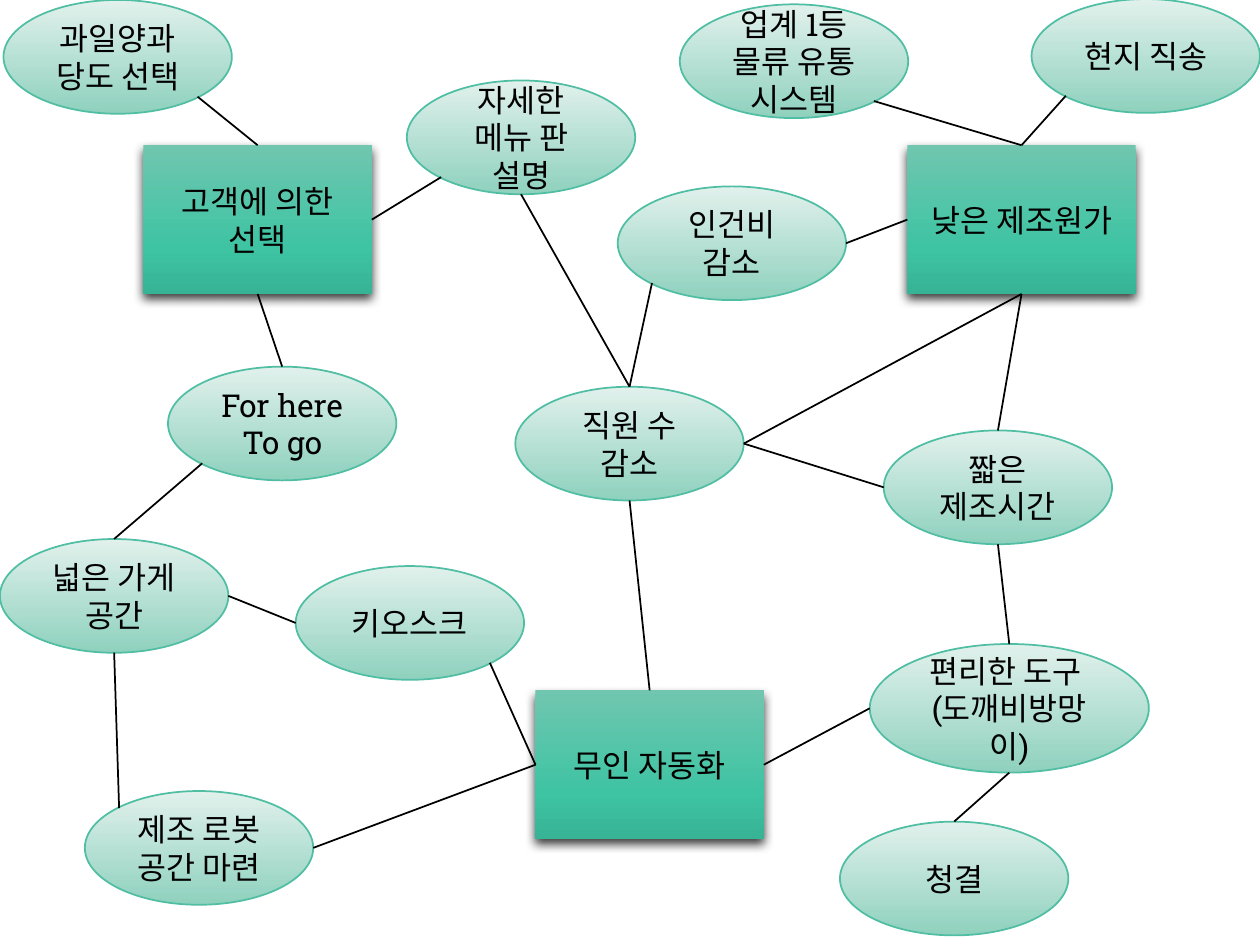
import pptx
import pptx.util
import pptx.dml.color
import pptx.enum.shapes
import pptx.enum.text
import pptx.oxml.ns
import lxml.etree

Pt = pptx.util.Pt
qn = pptx.oxml.ns.qn
SHAPE = pptx.enum.shapes.MSO_SHAPE
FONT = "Roboto Slab"
BOX_STOPS = [(0, "70C6AF"), (69, "3EC4A3"), (100, "37B395")]
OVAL_STOPS = [(0, "E1F1EC"), (100, "8FD1BE")]


def rgb(color):
    return pptx.dml.color.RGBColor.from_string(color)


def add_node(text, kind, x, y, w, h, stops, line=None, size=18, color="000000"):
    s = slide.shapes.add_shape(kind, Pt(x), Pt(y), Pt(w), Pt(h))
    s.shadow.inherit = False
    # Vertical gradient
    s.fill.gradient()
    s.fill.gradient_angle = 270
    stop_list = s._element.spPr.find(".//" + qn("a:gsLst"))
    for old in list(stop_list):
        stop_list.remove(old)
    for pos, stop_color in stops:
        gs = lxml.etree.SubElement(stop_list, qn("a:gs"), pos=str(pos * 1000))
        lxml.etree.SubElement(gs, qn("a:srgbClr"), val=stop_color)
    # Outline
    if line:
        s.line.color.rgb = rgb(line)
        s.line.width = Pt(1)
    else:
        s.line.fill.background()
    # Text
    tf = s.text_frame
    tf.word_wrap = True
    tf.vertical_anchor = pptx.enum.text.MSO_ANCHOR.MIDDLE
    tf.text = text
    for p in tf.paragraphs:
        p.alignment = pptx.enum.text.PP_ALIGN.CENTER
        for r in p.runs:
            r.font.name = FONT
            r.font.size = Pt(size)
            r.font.color.rgb = rgb(color)
    return s


prs = pptx.Presentation()
prs.slide_width, prs.slide_height = Pt(720), Pt(540)
slide = prs.slides.add_slide(prs.slide_layouts[6])
nodes = {}

# Main themes: boxes with a soft shadow
for key, text, x, y in [
    ("choice", "고객에 의한 선택", 82, 83),
    ("cost", "낮은 제조원가", 518.5, 83),
    ("automation", "무인 자동화", 306, 394.5),
]:
    s = nodes[key] = add_node(text, SHAPE.RECTANGLE, x, y, 130.5, 85, BOX_STOPS)
    shadow = lxml.etree.SubElement(
        s._element.spPr.find(qn("a:effectLst")), qn("a:outerShdw"),
        blurRad=str(Pt(6)), dist=str(Pt(3)), dir="5400000", rotWithShape="0")
    black = lxml.etree.SubElement(shadow, qn("a:srgbClr"), val="000000")
    lxml.etree.SubElement(black, qn("a:alpha"), val="76000")

# Supporting ideas: ovals
for key, text, x, y, w, h in [
    ("fruit", "과일양과 당도 선택", 2, 0, 130.5, 65),
    ("direct", "현지 직송", 589.5, -0.5, 130.5, 65),
    ("logistics", "업계 1등 물류 유통 시스템", 388.5, 2.5, 130.5, 65),
    ("staff", "직원 수 감소", 294.5, 221, 130.5, 65),
    ("labour", "인건비 감소", 353, 106.5, 130.5, 65),
    ("menu", "자세한 메뉴 판 설명", 232.5, 46, 130.5, 65),
    ("robot", "제조 로봇 공간 마련", 48.5, 452, 130.5, 65),
    ("space", "넓은 가게 공간", 0, 308, 130.5, 65),
    ("here", "For here\nTo go", 96, 209.5, 130.5, 65),
    ("kiosk", "키오스크", 169, 323.5, 130.5, 65),
    ("tool", "편리한 도구 \n(도깨비방망이)", 497, 368, 159.5, 73.5),
    ("time", "짧은 제조시간", 505, 246, 130.5, 65),
    ("clean", "청결", 480, 469.5, 130.5, 65),
]:
    nodes[key] = add_node(text, SHAPE.OVAL, x, y, w, h, OVAL_STOPS, line="50BEA3")

# Points on a node's edge, as shares of its width and height
near, far = 0.15, 0.85
sides = {
    "top": (0.5, 0), "left": (0, 0.5), "bottom": (0.5, 1), "right": (1, 0.5),
    "top left": (near, near), "bottom left": (near, far), "bottom right": (far, far),
}
box_sites = {"top": 0, "left": 1, "bottom": 2, "right": 3}

# Links between nodes
for start, start_side, end, end_side in [
    ("fruit", "bottom right", "choice", "top"),
    ("logistics", "bottom right", "cost", "top"),
    ("direct", "bottom left", "cost", "top"),
    ("cost", "bottom", "staff", "right"),
    ("automation", "top", "staff", "bottom"),
    ("staff", "top", "labour", "bottom left"),
    ("cost", "left", "labour", "right"),
    ("choice", "right", "menu", "bottom left"),
    ("staff", "top", "menu", "bottom"),
    ("robot", "right", "automation", "left"),
    ("space", "bottom", "robot", "top left"),
    ("choice", "bottom", "here", "top"),
    ("here", "bottom left", "space", "top"),
    ("space", "right", "kiosk", "left"),
    ("automation", "left", "kiosk", "bottom right"),
    ("tool", "left", "automation", "right"),
    ("time", "left", "staff", "right"),
    ("time", "bottom", "tool", "top"),
    ("time", "top", "cost", "bottom"),
    ("tool", "bottom", "clean", "top"),
]:
    ends = []
    for key, side in [(start, start_side), (end, end_side)]:
        s, (fx, fy) = nodes[key], sides[side]
        ends += [int(s.left + fx * s.width), int(s.top + fy * s.height)]
    c = slide.shapes.add_connector(pptx.enum.shapes.MSO_CONNECTOR.STRAIGHT, *ends)
    c.line.color.rgb = rgb("000000")
    c.line.width = Pt(1)
    lxml.etree.SubElement(c._element.spPr, qn("a:effectLst"))
    # Join the ends that meet a box
    for join, key, side in [(c.begin_connect, start, start_side),
                            (c.end_connect, end, end_side)]:
        if nodes[key].auto_shape_type == SHAPE.RECTANGLE:
            join(nodes[key], box_sites[side])

prs.save("out.pptx")
